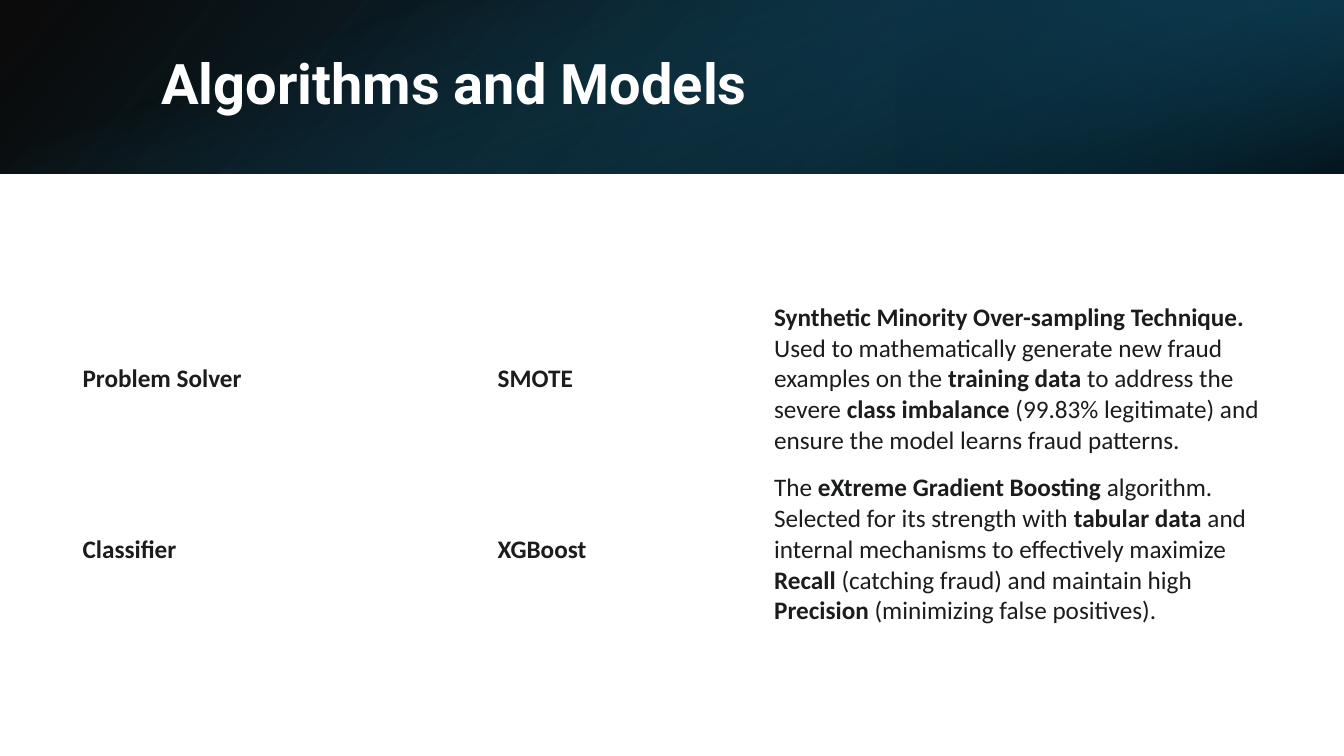
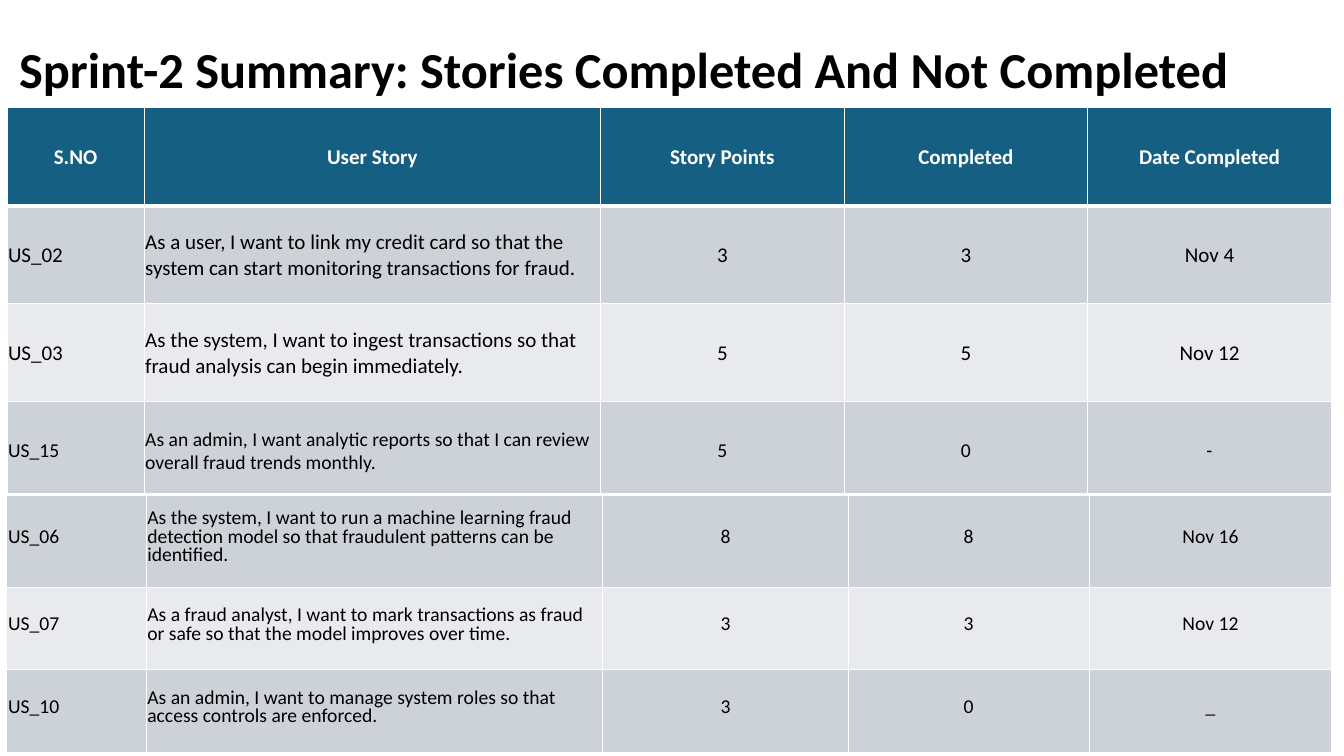
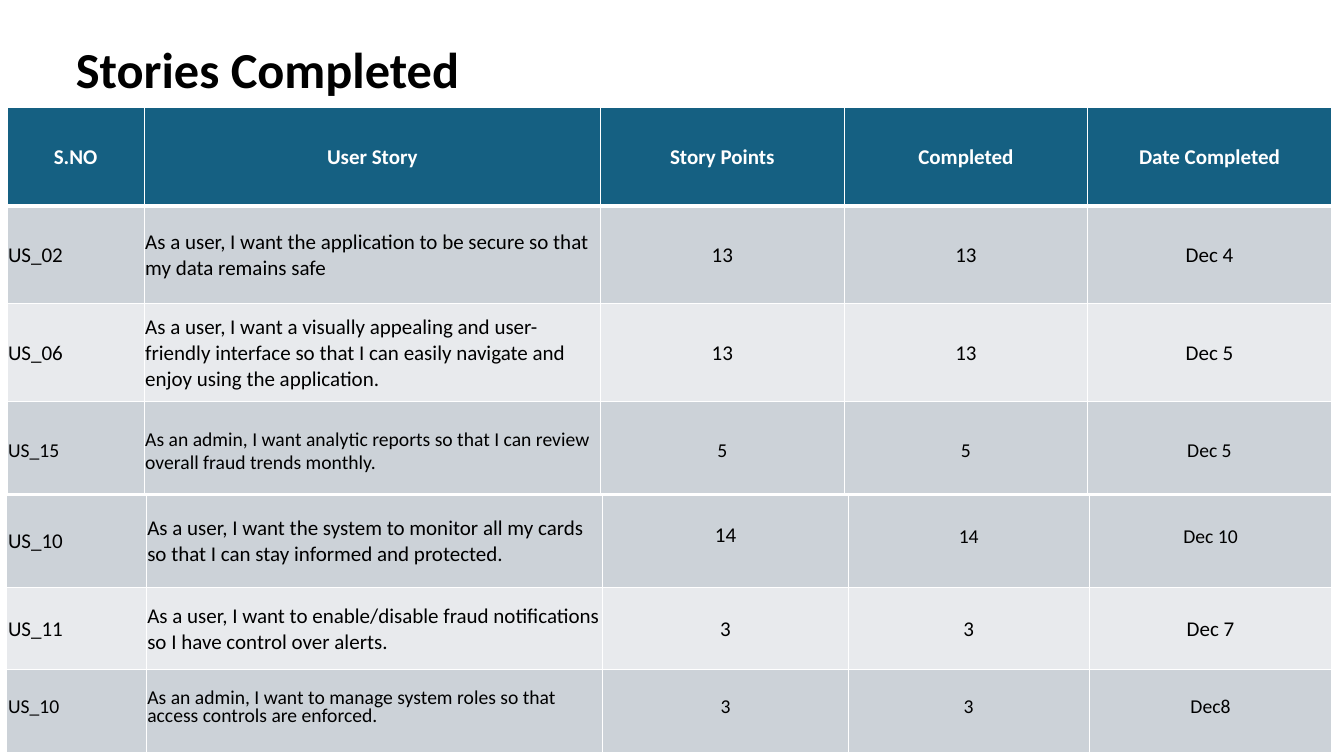
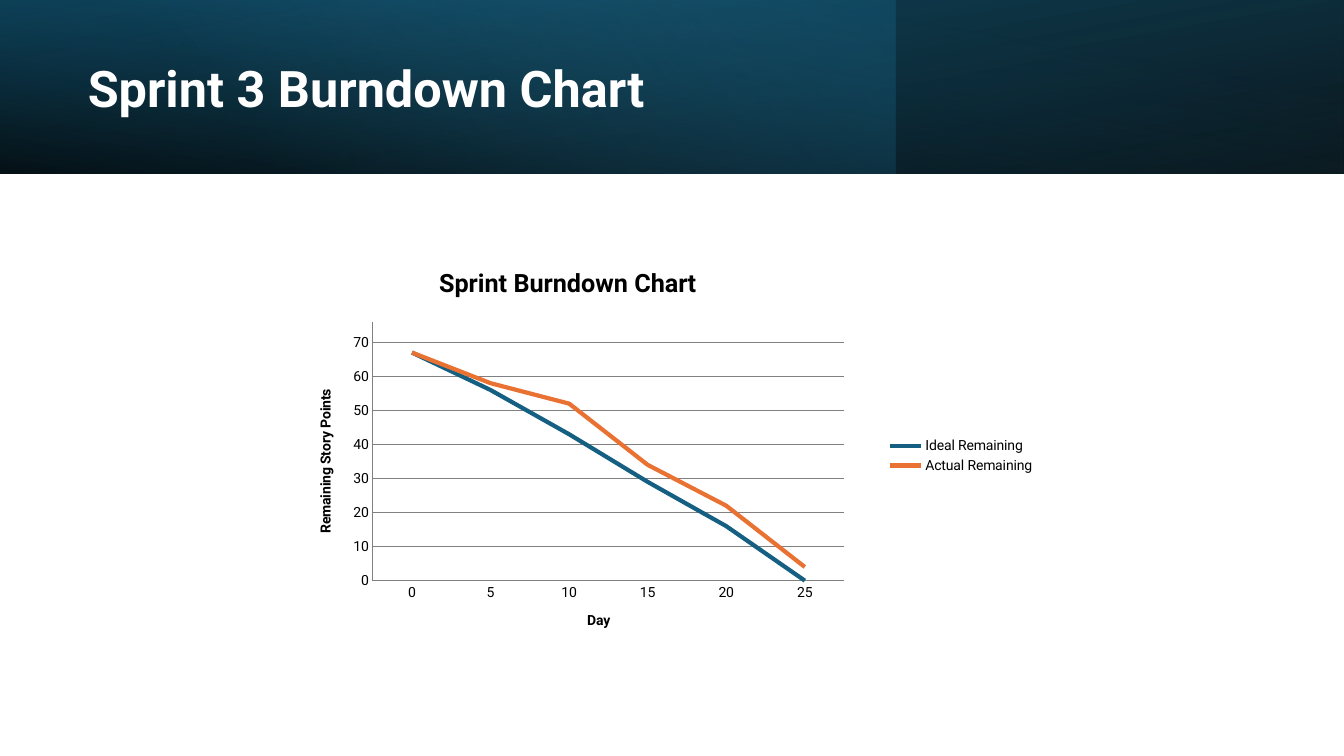
from pptx import Presentation
from pptx.chart.data import CategoryChartData
from pptx.dml.color import RGBColor
from pptx.enum.chart import XL_CHART_TYPE, XL_LEGEND_POSITION, XL_TICK_MARK
from pptx.enum.shapes import MSO_SHAPE
from pptx.enum.text import MSO_ANCHOR, MSO_AUTO_SIZE, PP_ALIGN
from pptx.oxml import parse_xml
from pptx.oxml.ns import nsdecls, qn
from pptx.util import Pt

LEFT, CENTER = PP_ALIGN.LEFT, PP_ALIGN.CENTER
MIDDLE = MSO_ANCHOR.MIDDLE
NO_FIT = MSO_AUTO_SIZE.NONE
RECT = MSO_SHAPE.RECTANGLE
NO_TICK = XL_TICK_MARK.NONE
LINE_CHART = XL_CHART_TYPE.LINE
LEGEND_RIGHT = XL_LEGEND_POSITION.RIGHT

BLACK, WHITE, INK = "000000", "FFFFFF", "1B1C1D"
BLUE, DEEP_BLUE, NAVY, SKY, ORANGE = "156082", "104862", "0B3041", "46B1E1", "E97132"
GRAY, ROW_DARK, ROW_LIGHT = "808080", "CCD2D8", "E8EAED"
HEAD, BODY = "Roboto", "Calibri"
W, H, BAND_H = 960, 540, 124

rgb = RGBColor.from_string


def write(tf, text, size=15, font=BODY, color=BLACK, bold=False, align=LEFT, spacing=None):
    """Fill the first paragraph; parts between ** marks are bold."""
    p = tf.paragraphs[0]
    p.alignment = align
    if spacing:
        p.line_spacing = spacing
    for i, part in enumerate(text.split("**")):
        if part:
            r = p.add_run()
            r.text = part
            r.font.size = Pt(size)
            r.font.name = font
            r.font.bold = bold or i % 2 == 1
            r.font.color.rgb = rgb(color)


def write_cell(cell, text, margins, borders, fill=None, **fmt):
    """Margins and border widths are in the order left, top, right, bottom."""
    cell.margin_left, cell.margin_top, cell.margin_right, cell.margin_bottom = map(Pt, margins)
    cell.vertical_anchor = MIDDLE
    widths = dict(zip("LTRB", borders))
    tcPr = cell._tc.get_or_add_tcPr()
    for side in "LRTB":
        tcPr.append(parse_xml(
            f'<a:ln{side} {nsdecls("a")} w="{Pt(widths[side])}"><a:solidFill>'
            f'<a:srgbClr val="{WHITE}"/></a:solidFill></a:ln{side}>'))
    if fill:
        cell.fill.solid()
        cell.fill.fore_color.rgb = rgb(fill)
    else:
        cell.fill.background()
    write(cell.text_frame, text, **fmt)


prs = Presentation()
prs.slide_width, prs.slide_height = Pt(W), Pt(H)

# Bands: box, rotation, flipped, gradient angle, stops (position, colour, opacity)
full = (0, 0, W, BAND_H)
side = (W - BAND_H) / 2
base_stops = [(0, BLACK, 96), (100, DEEP_BLUE, 100)]
model_bands = [
    (full, 0, True, 140, base_stops),
    ((640, 0, 320, BAND_H), 180, True, 320, [(19, NAVY, 68), (100, BLUE, 79)]),
    ((side, -side, BAND_H, W), 90, False, 340, [(23, BLUE, 0), (99, BLACK, 74)]),
]
burndown_bands = [
    (full, 180, True, 100, base_stops),
    ((0, 0, 640, BAND_H), 0, False, 140, [(0, BLUE, 41), (74, SKY, 0)]),
    (full, 0, True, 260, [(0, BLACK, 63), (78, BLUE, 15)]),
]
light_title = dict(font=HEAD, color=WHITE)
titles = [
    ("Algorithms and Models", (108, 27.5, 790.5, 69), model_bands, dict(size=40, **light_title)),
    ("Sprint-2 Summary: Stories Completed And Not Completed", (6.5, -0.5, 938, 104.5), [], dict(size=36)),
    ("Stories Completed", (47, -0.5, 828, 104.5), [], dict(size=36)),
    ("Sprint 3 Burndown Chart", (55.5, 19.5, 556, 91.5), burndown_bands, dict(size=36, **light_title)),
]
slides = []
for text, box, bands, fmt in titles:
    s = prs.slides.add_slide(prs.slide_layouts[5])
    slides.append(s)
    for band_box, rotation, flipped, angle, stops in bands:
        sp = s.shapes.add_shape(RECT, *map(Pt, band_box))
        sp.rotation = rotation
        spPr = sp.element.spPr
        if flipped:
            spPr.xfrm.set("flipH", "1")
        gs = "".join(
            f'<a:gs pos="{pos * 1000}"><a:srgbClr val="{color}"><a:alpha val="{alpha * 1000}"/>'
            f'</a:srgbClr></a:gs>' for pos, color, alpha in stops)
        spPr.append(parse_xml(
            f'<a:gradFill {nsdecls("a")} rotWithShape="1"><a:gsLst>{gs}</a:gsLst>'
            f'<a:lin ang="{angle * 60000}" scaled="0"/></a:gradFill>'))
        sp.line.fill.background()
        sp.shadow.inherit = False
    title = s.shapes.title
    title.element.getparent().append(title.element)  # in front of the bands
    title.left, title.top, title.width, title.height = map(Pt, box)
    tf = title.text_frame
    tf.word_wrap = True
    tf.auto_size = NO_FIT
    tf.vertical_anchor = MIDDLE
    write(tf, text, bold=True, spacing=0.9, **fmt)

# Tables: slide, left, top, column widths, row heights, cells (text, cell format)
models = [
    ("**Problem Solver**", "**SMOTE**",
     "**Synthetic Minority Over-sampling Technique.** Used to mathematically generate new fraud "
     "examples on the **training data** to address the severe **class imbalance** "
     "(99.83% legitimate) and ensure the model learns fraud patterns."),
    ("**Classifier**", "**XGBoost**",
     "The **eXtreme Gradient Boosting** algorithm. Selected for its strength with **tabular data** "
     "and internal mechanisms to effectively maximize **Recall** (catching fraud) and maintain high "
     "**Precision** (minimizing false positives)."),
]
model_format = dict(size=18, color=INK, margins=(8.5, 6, 8.5, 6), borders=[0.75] * 4)
tables = [(slides[0], 50.5, 210, (296.5, 197.5, 366.5), (121.5, 121.5),
           [[(text, model_format) for text in row] for row in models])]

plain = dict(size=15, margins=(0.75, 0.75, 0.75, 0))
plain_small = dict(plain, size=14)
tight = dict(size=14, margins=(0.75, 0.75, 0.75, 3.5), spacing=Pt(13.5))
tight_large = dict(tight, size=15)

header = ("S.NO", "User Story", "Story Points", "Completed", "Date Completed")
reports = ("US_15", "As an admin, I want analytic reports so that I can review overall fraud trends monthly.")
roles = ("US_10", "As an admin, I want to manage system roles so that access controls are enforced.")
# Each row: texts, then one format per column
sprint_2 = [
    (("US_02", "As a user, I want to link my credit card so that the system can start monitoring "
      "transactions for fraud.", "3", "3", "Nov 4"), [plain] * 5),
    (("US_03", "As the system, I want to ingest transactions so that fraud analysis can begin "
      "immediately.", "5", "5", "Nov 12"), [plain] * 5),
    ((*reports, "5", "0", "-"), [plain_small] * 5),
    (("US_06", "As the system, I want to run a machine learning fraud detection model so that "
      "fraudulent patterns can be identified.", "8", "8", "Nov 16"), [tight] * 5),
    (("US_07", "As a fraud analyst, I want to mark transactions as fraud or safe so that the model "
      "improves over time.", "3", "3", "Nov 12"), [tight] * 5),
    ((*roles, "3", "0", "_"), [tight] * 5),
]
sprint_3 = [
    (("US_02", "As a user, I want the application to be secure so that my data remains safe",
      "13", "13", "Dec 4"), [plain] * 5),
    (("US_06", "As a user, I want a visually appealing and user-friendly interface so that I can "
      "easily navigate and enjoy using the application.", "13", "13", "Dec 5"), [plain] * 5),
    ((*reports, "5", "5", "Dec 5"), [plain_small] * 5),
    (("US_10", "As a user, I want the system to monitor all my cards so that I can stay informed "
      "and protected.", "14", "14", "Dec 10"), [plain, plain, tight_large, tight, tight]),
    (("US_11", "As a user, I want to enable/disable fraud notifications so I have control over "
      "alerts.", "3", "3", "Dec 7"), [plain] * 5),
    ((*roles, "3", "3", "Dec8"), [tight] * 5),
]
for s, stories in ((slides[1], sprint_2), (slides[2], sprint_3)):
    header_format = dict(plain, fill=BLUE, color=WHITE, bold=True, align=CENTER, borders=(1, 1, 1, 3))
    rows = [[(text, header_format) for text in header]]
    for i, (texts, formats) in enumerate(stories):
        borders = (1, 3 if i == 0 else 1, 1, 1) if i < 3 else (0.79, 2.38 if i == 3 else 0.79, 0.79, 0.79)
        fill = ROW_LIGHT if i % 3 == 1 else ROW_DARK
        rows.append([
            (text, dict(fmt, fill=fill, borders=borders, align=LEFT if c < 2 else CENTER))
            for c, (text, fmt) in enumerate(zip(texts, formats))])
    tables.append((s, 5, 77, (98, 326, 174, 174, 174), [70] * 4, rows[:4]))
    tables.append((s, 5, 353, (99.5, 326, 175.5, 172, 173.5), (66.5, 59, 59), rows[4:]))

for s, left, top, widths, heights, rows in tables:
    tbl = s.shapes.add_table(len(heights), len(widths), Pt(left), Pt(top),
                             Pt(sum(widths)), Pt(sum(heights))).table
    tbl.first_row = tbl.horz_banding = False
    for column, width in zip(tbl.columns, widths):
        column.width = Pt(width)
    for r, (height, row) in enumerate(zip(heights, rows)):
        tbl.rows[r].height = Pt(height)
        for c, (text, fmt) in enumerate(row):
            write_cell(tbl.cell(r, c), text, **fmt)

# Burndown chart
data = CategoryChartData()
data.categories = ["0", "5", "10", "15", "20", "25"]
data.add_series("Ideal Remaining", (67, 56, 43, 29, 16, 0))
data.add_series("Actual Remaining", (67, 58, 52, 34, 22, 4))
chart = slides[3].shapes.add_chart(LINE_CHART, Pt(194.5), Pt(171.5), Pt(552), Pt(308), data).chart
chart.font.size = Pt(10)
chart.font.name = HEAD
chart.font.color.rgb = rgb(BLACK)
chart.has_legend = True
chart.legend.position = LEGEND_RIGHT
chart.legend.include_in_layout = False
chart.has_title = True
write(chart.chart_title.text_frame, "Sprint Burndown Chart", size=18, font=HEAD, bold=True, align=CENTER)

for axis, text in ((chart.category_axis, "Day"), (chart.value_axis, "Remaining Story Points")):
    write(axis.axis_title.text_frame, text, size=10, font=HEAD, bold=True, align=CENTER)
    axis.major_tick_mark = axis.minor_tick_mark = NO_TICK
    axis.format.line.color.rgb = rgb(GRAY)
    axis.format.line.width = Pt(0.75)
axis = chart.value_axis
axis.minimum_scale, axis.maximum_scale, axis.major_unit = 0, 76, 10
axis.has_major_gridlines = True
axis.major_gridlines.format.line.color.rgb = rgb(GRAY)
axis.major_gridlines.format.line.width = Pt(0.75)

chart.plots[0].vary_by_categories = False
for series, color in zip(chart.plots[0].series, (BLUE, ORANGE)):
    series.smooth = False
    series.format.line.color.rgb = rgb(color)
    series.format.line.width = Pt(3)

layouts = [
    ("c:chart/c:title", 1, "", dict(x=0.21, y=0.05)),
    ("c:chart/c:plotArea", 0, '<c:layoutTarget val="inner"/>', dict(x=0.13, y=0.19, w=0.61, h=0.6)),
]
for place, index, target, sizes in layouts:
    parent = chart.element.xpath(place)[0]
    old = parent.find(qn("c:layout"))
    if old is not None:
        parent.remove(old)
    modes = "".join(f'<c:{k}Mode val="edge"/>' for k in "xy")
    values = "".join(f'<c:{k} val="{v}"/>' for k, v in sizes.items())
    parent.insert(index, parse_xml(
        f'<c:layout {nsdecls("c")}><c:manualLayout>{target}{modes}{values}</c:manualLayout></c:layout>'))

prs.save("out.pptx")
